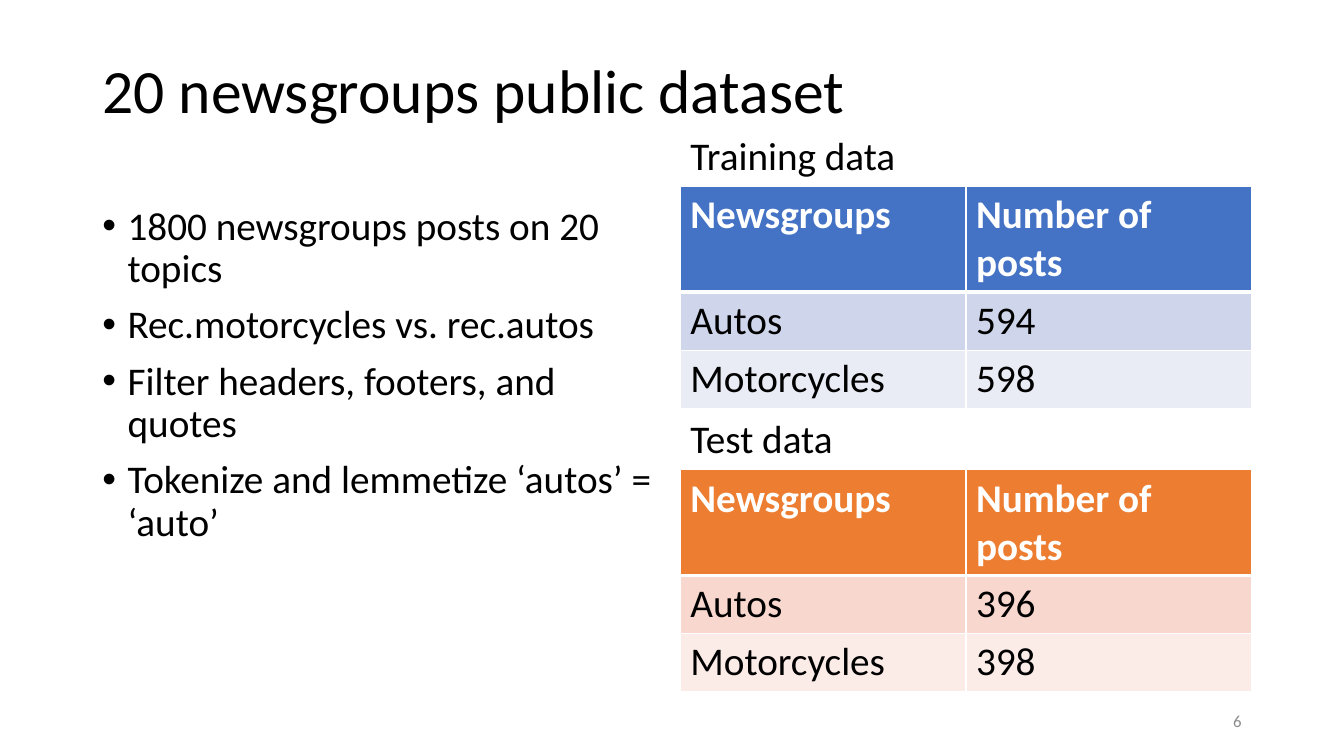
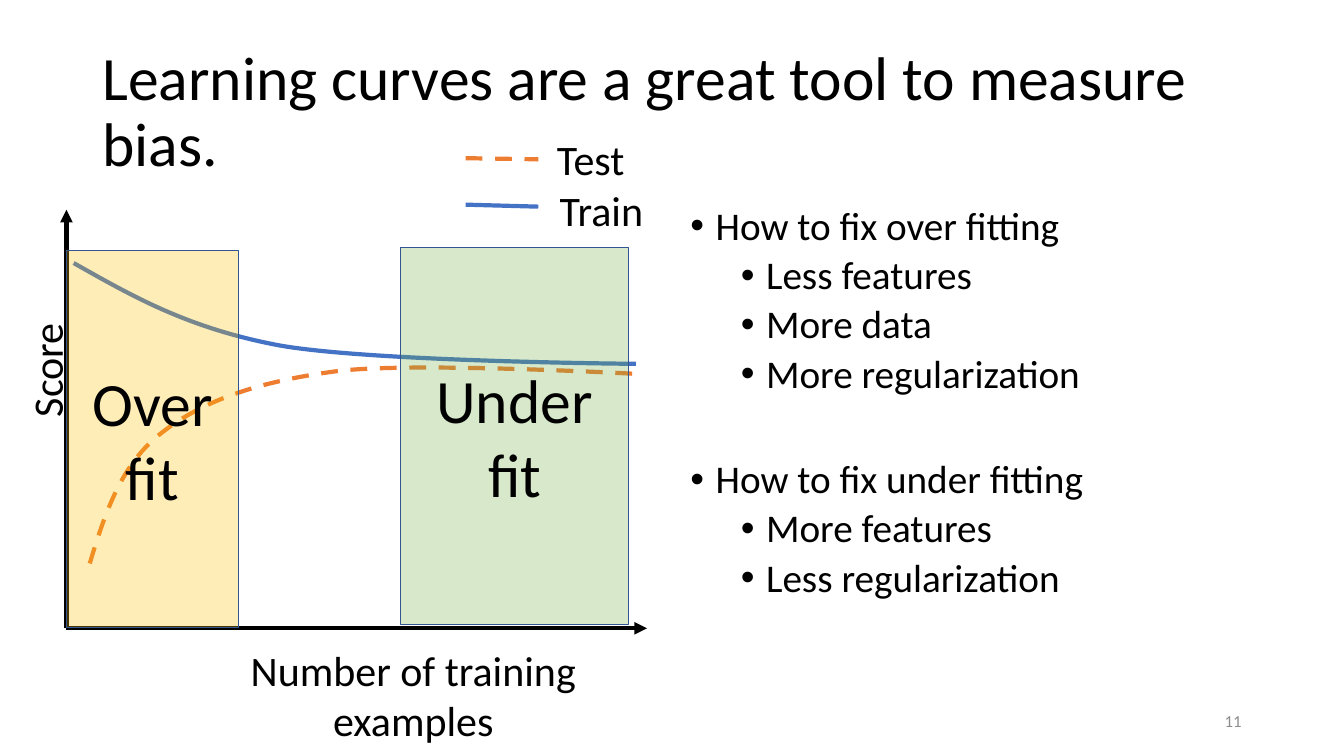
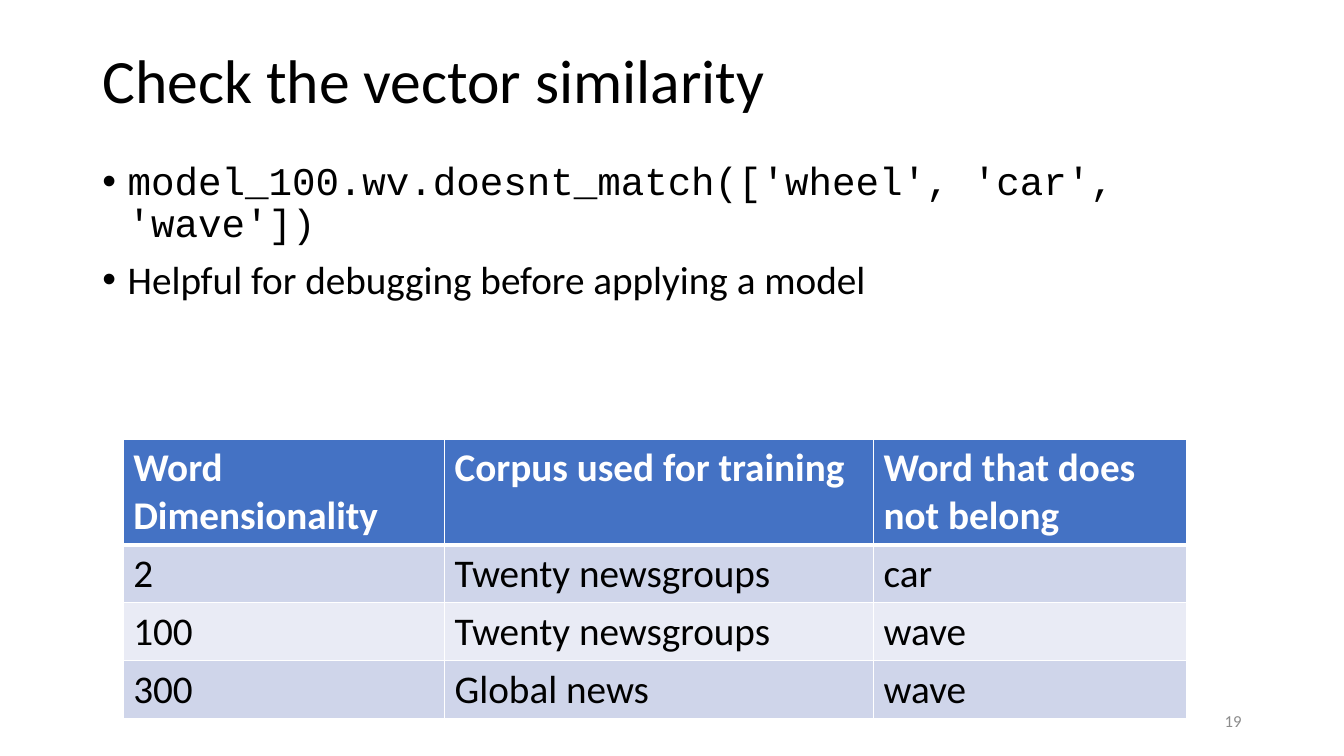
import dataclasses
import typing

import pptx
import pptx.dml.color
import pptx.enum.dml
import pptx.enum.shapes
import pptx.enum.text
import pptx.oxml
import pptx.oxml.ns
import pptx.util

Pt = pptx.util.Pt
ALIGN = pptx.enum.text.PP_ALIGN
ANCHOR = pptx.enum.text.MSO_ANCHOR
NO_FIT = pptx.enum.text.MSO_AUTO_SIZE.NONE
DASH = pptx.enum.dml.MSO_LINE.DASH

# Shared look
FONT, CODE_FONT = "Calibri", "Courier New"
BLACK, WHITE, GRAY = "000000", "FFFFFF", "8C8C8C"
BLUE, ORANGE, OUTLINE = "4472C4", "ED7D31", "325491"
YELLOW, GREEN = "FFC000", "70AD47"
BLUE_TABLE = (BLUE, "CFD5EA", "E9EBF5")
ORANGE_TABLE = (ORANGE, "F8D7CE", "FCECE8")
LEFT, WIDTH, RIGHT_COLUMN, COLUMN_WIDTH = 66, 828, 486, 408
BODY_TOP, BODY_HEIGHT = 143.8, 342.7

TITLE_STYLE = {"name": FONT, "size": Pt(44)}
BODY_STYLE = {"name": FONT, "size": Pt(28)}
LABEL_STYLE = {"name": FONT, "size": Pt(30)}
HEADER_STYLE = {**BODY_STYLE, "bold": True}
NUMBER_STYLE = {"name": FONT, "size": Pt(12)}
NO_MARGINS = dict.fromkeys(
    ("margin_left", "margin_right", "margin_top", "margin_bottom"), 0)

Point = tuple[float, float]


class Box(typing.NamedTuple):
    left: float
    top: float
    width: float
    height: float

    def lengths(self) -> list[int]:
        return [Pt(v) for v in self]


@dataclasses.dataclass
class Bullet:
    text: str
    level: int = 0
    before: float = 10
    font: str = FONT


@dataclasses.dataclass
class Table:
    left: float
    top: float
    columns: list[float]
    colors: tuple[str, str, str]
    rows: list[tuple[str, ...]]


@dataclasses.dataclass
class Line:
    start: Point
    end: Point
    color: str
    dashed: bool = False
    arrow: bool = False


@dataclasses.dataclass
class Curve:
    """A start point, then two control points and an end per Bezier part."""
    points: list[Point]
    color: str
    dashed: bool = False


@dataclasses.dataclass
class Region:
    text: str
    box: Box
    color: str


# Formatting helpers
def rgb(color: str) -> pptx.dml.color.RGBColor:
    return pptx.dml.color.RGBColor.from_string(color)


def set_format(target: typing.Any, values: dict[str, typing.Any]) -> None:
    for name, value in values.items():
        setattr(target, name, value)


def add_xml(parent: typing.Any, xml: str) -> None:
    head, tail = xml.split(" ", 1)
    ns = pptx.oxml.ns.nsdecls("a")
    parent.append(pptx.oxml.parse_xml(f"{head} {ns} {tail}"))


def set_text(tf: typing.Any, text: str, style: dict, color: str = BLACK,
             **paragraph: typing.Any) -> None:
    tf.text = text
    for p in tf.paragraphs:
        set_format(p, paragraph)
        for r in p.runs:
            set_format(r.font, style)
            r.font.color.rgb = rgb(color)


def style_line(line: typing.Any, color: str, width: float = 3,
               dashed: bool = False) -> None:
    line.color.rgb = rgb(color)
    line.width = Pt(width)
    if dashed:
        line.dash_style = DASH


def place(sp: typing.Any, box: Box) -> None:
    names = ("left", "top", "width", "height")
    set_format(sp, dict(zip(names, box.lengths())))


# Slide parts
def add_text(s: typing.Any, text: str, box: Box, style: dict,
             color: str = BLACK, align: typing.Any = ALIGN.LEFT,
             frame: dict | None = None) -> typing.Any:
    sp = s.shapes.add_textbox(*box.lengths())
    set_format(sp.text_frame, {"word_wrap": True, **(frame or {})})
    set_text(sp.text_frame, text, style, color, alignment=align)
    return sp


def add_slide(prs: typing.Any, title: str, title_top: float, number: int,
              bullets: list[Bullet], body: Box) -> typing.Any:
    s = prs.slides.add_slide(prs.slide_layouts[1])
    place(s.shapes.title, Box(LEFT, title_top, WIDTH, 104.4))
    tf = s.shapes.title.text_frame
    set_format(tf, {"auto_size": NO_FIT, "vertical_anchor": ANCHOR.MIDDLE})
    set_text(tf, title, TITLE_STYLE, alignment=ALIGN.LEFT, line_spacing=0.9)
    place(s.placeholders[1], body)
    fill_bullets(s.placeholders[1].text_frame, bullets)
    add_text(s, str(number), Box(678, 500.4, 216, 28.8), NUMBER_STYLE, GRAY,
             ALIGN.RIGHT, {"vertical_anchor": ANCHOR.MIDDLE})
    return s


def fill_bullets(tf: typing.Any, bullets: list[Bullet]) -> None:
    tf.auto_size = NO_FIT
    tf.text = "\n".join(b.text for b in bullets)
    for i, (p, b) in enumerate(zip(tf.paragraphs, bullets)):
        pPr = p._p.get_or_add_pPr()
        pPr.set("marL", str(Pt(18 + 36 * b.level)))
        pPr.set("indent", str(Pt(-18)))
        add_xml(pPr, '<a:buFont typeface="Arial"/>')
        add_xml(pPr, '<a:buChar char="•"/>')
        set_format(p, {"level": b.level, "line_spacing": 0.9,
                       "space_before": Pt(b.before if i else 0),
                       "space_after": Pt(0)})
        for r in p.runs:
            set_format(r.font, {**BODY_STYLE, "name": b.font})
            r.font.color.rgb = rgb(BLACK)


def add_table(s: typing.Any, t: Table) -> None:
    heights = [75.6] + [41.4] * (len(t.rows) - 1)
    box = Box(t.left, t.top, sum(t.columns), sum(heights))
    table = s.shapes.add_table(len(t.rows), len(t.columns),
                               *box.lengths()).table
    for column, width in zip(table.columns, t.columns):
        column.width = Pt(width)
    header, odd, even = t.colors
    for i, texts in enumerate(t.rows):
        table.rows[i].height = Pt(heights[i])
        fill = header if i == 0 else odd if i % 2 else even
        for j, text in enumerate(texts):
            cell = table.cell(i, j)
            set_text(cell.text_frame, text,
                     BODY_STYLE if i else HEADER_STYLE, BLACK if i else WHITE)
            add_borders(cell, top=3 if i == 1 else 1, bottom=1 if i else 3)
            cell.fill.solid()
            cell.fill.fore_color.rgb = rgb(fill)


def add_borders(cell: typing.Any, top: float, bottom: float) -> None:
    tcPr = cell._tc.get_or_add_tcPr()
    for side, width in zip("LRTB", (1, 1, top, bottom)):
        add_xml(tcPr, f'<a:ln{side} w="{Pt(width)}"><a:solidFill>'
                      f'<a:srgbClr val="{WHITE}"/></a:solidFill></a:ln{side}>')


def add_line(s: typing.Any, ln: Line) -> None:
    ends = [Pt(v) for v in (*ln.start, *ln.end)]
    sp = s.shapes.add_connector(
        pptx.enum.shapes.MSO_CONNECTOR.STRAIGHT, *ends)
    style_line(sp.line, ln.color, dashed=ln.dashed)
    if ln.arrow:
        add_xml(sp.line._get_or_add_ln(), '<a:tailEnd type="triangle"/>')
    add_xml(sp._element.spPr, "<a:effectLst />")


def add_curve(s: typing.Any, c: Curve) -> None:
    start, *rest = [(Pt(x), Pt(y)) for x, y in c.points]
    builder = s.shapes.build_freeform(*start)
    builder.add_line_segments(rest, close=False)
    sp = builder.convert_to_shape()
    # Turn every three straight segments into one Bezier segment
    qn = pptx.oxml.ns.qn
    segments = list(sp._element.iter(qn("a:lnTo")))
    for i in range(0, len(segments), 3):
        bezier = pptx.oxml.parse_xml(
            f'<a:cubicBezTo {pptx.oxml.ns.nsdecls("a")}/>')
        segments[i].addprevious(bezier)
        for segment in segments[i:i + 3]:
            bezier.append(segment.find(qn("a:pt")))
            segment.getparent().remove(segment)
    sp.shadow.inherit = False
    sp.fill.background()
    style_line(sp.line, c.color, dashed=c.dashed)


def add_region(s: typing.Any, region: Region) -> None:
    sp = s.shapes.add_shape(pptx.enum.shapes.MSO_SHAPE.RECTANGLE,
                            *region.box.lengths())
    sp.shadow.inherit = False
    sp.fill.solid()
    sp.fill.fore_color.rgb = rgb(region.color)
    color = sp._element.spPr.find(".//" + pptx.oxml.ns.qn("a:srgbClr"))
    add_xml(color, '<a:alpha val="28000"/>')
    style_line(sp.line, OUTLINE, 1)
    set_format(sp.text_frame,
               {"word_wrap": True, "vertical_anchor": ANCHOR.MIDDLE})
    set_text(sp.text_frame, region.text, TITLE_STYLE, alignment=ALIGN.CENTER)


# Slides
def dataset_slide(prs: typing.Any) -> None:
    bullets = [Bullet("1800 newsgroups posts on 20 topics"),
               Bullet("Rec.motorcycles vs. rec.autos"),
               Bullet("Filter headers, footers, and quotes"),
               Bullet("Tokenize and lemmetize ‘autos’ = ‘auto’")]
    s = add_slide(prs, "20 newsgroups public dataset", 14.4, 6, bullets,
                  Box(LEFT, BODY_TOP, COLUMN_WIDTH, BODY_HEIGHT))
    groups = [("Training data", 90.2, BLUE_TABLE, "594", "598"),
              ("Test data", 292.6, ORANGE_TABLE, "396", "398")]
    for label, top, colors, autos, motorcycles in groups:
        add_text(s, label, Box(RIGHT_COLUMN, top, 229, 41), BODY_STYLE)
        add_table(s, Table(RIGHT_COLUMN, top + 43, [204, 204], colors,
                           [("Newsgroups", "Number of posts"),
                            ("Autos", autos),
                            ("Motorcycles", motorcycles)]))


def learning_curve_slide(prs: typing.Any) -> None:
    bullets = [Bullet("How to fix over fitting"),
               Bullet("Less features", 1, 5),
               Bullet("More data", 1, 5),
               Bullet("More regularization", 1, 5),
               Bullet("How to fix under fitting", before=45),
               Bullet("More features", 1, 5),
               Bullet("Less regularization", 1, 5)]
    s = add_slide(prs, "Learning curves are a great tool to measure bias.",
                  28.8, 11, bullets,
                  Box(RIGHT_COLUMN, BODY_TOP, COLUMN_WIDTH, BODY_HEIGHT))
    # Legend and axes
    origin = (47.5, 448.8)
    for ln in [Line((332.6, 113), (384.5, 113.8), ORANGE, dashed=True),
               Line((332.6, 146.2), (384.5, 147.6), BLUE),
               Line(origin, (47.5, 149.8), BLACK, arrow=True),
               Line(origin, (462.2, 448.8), BLACK, arrow=True)]:
        add_line(s, ln)
    add_text(s, "Test", Box(390.7, 91.8, 83, 44), LABEL_STYLE)
    add_text(s, "Train", Box(392.7, 128.5, 81, 44), LABEL_STYLE)
    score = add_text(s, "Score", Box(0, 246, 67, 37), LABEL_STYLE,
                     align=ALIGN.CENTER,
                     frame={**NO_MARGINS, "word_wrap": False})
    score.rotation = 270
    add_text(s, "Number of training examples", Box(170.3, 456.9, 250, 80),
             LABEL_STYLE, align=ALIGN.CENTER)
    # Curves, then the shaded regions over them
    add_curve(s, Curve([
        (52.6, 187.9), (93.6, 211), (133.9, 234.7), (200.9, 247),
        (267.8, 258.5), (454.3, 259.9), (454.3, 259.9)], BLUE))
    add_curve(s, Curve([
        (64.1, 402.5), (74.9, 367.2), (86.4, 331.2), (115.9, 308.9),
        (145.4, 285.8), (185.8, 272.2), (241.9, 265),
        (298, 258.5), (454.3, 267.1), (454.3, 267.1)], ORANGE, dashed=True))
    add_region(s, Region("Over fit", Box(47.5, 178.8, 123, 269.3), YELLOW))
    add_region(s, Region("Under fit", Box(286.3, 176.7, 162.7, 269.3), GREEN))


def similarity_slide(prs: typing.Any) -> None:
    code = "model_100.wv.doesnt_match(['wheel', 'car', 'wave'])"
    bullets = [Bullet(code, font=CODE_FONT),
               Bullet("Helpful for debugging before applying a model")]
    s = add_slide(prs, "Check the vector similarity", 7.2, 19, bullets,
                  Box(LEFT, 111.9, WIDTH, BODY_HEIGHT))
    add_table(s, Table(88, 313.6, [229.6, 306.4, 223.5], BLUE_TABLE, [
        ("Word\nDimensionality", "Corpus used for training",
         "Word that does not belong"),
        ("2", "Twenty newsgroups", "car"),
        ("100", "Twenty newsgroups", "wave"),
        ("300", "Global news", "wave")]))


def main() -> None:
    prs = pptx.Presentation()
    prs.slide_width, prs.slide_height = Pt(960), Pt(540)
    dataset_slide(prs)
    learning_curve_slide(prs)
    similarity_slide(prs)
    prs.save("out.pptx")


if __name__ == "__main__":
    main()
